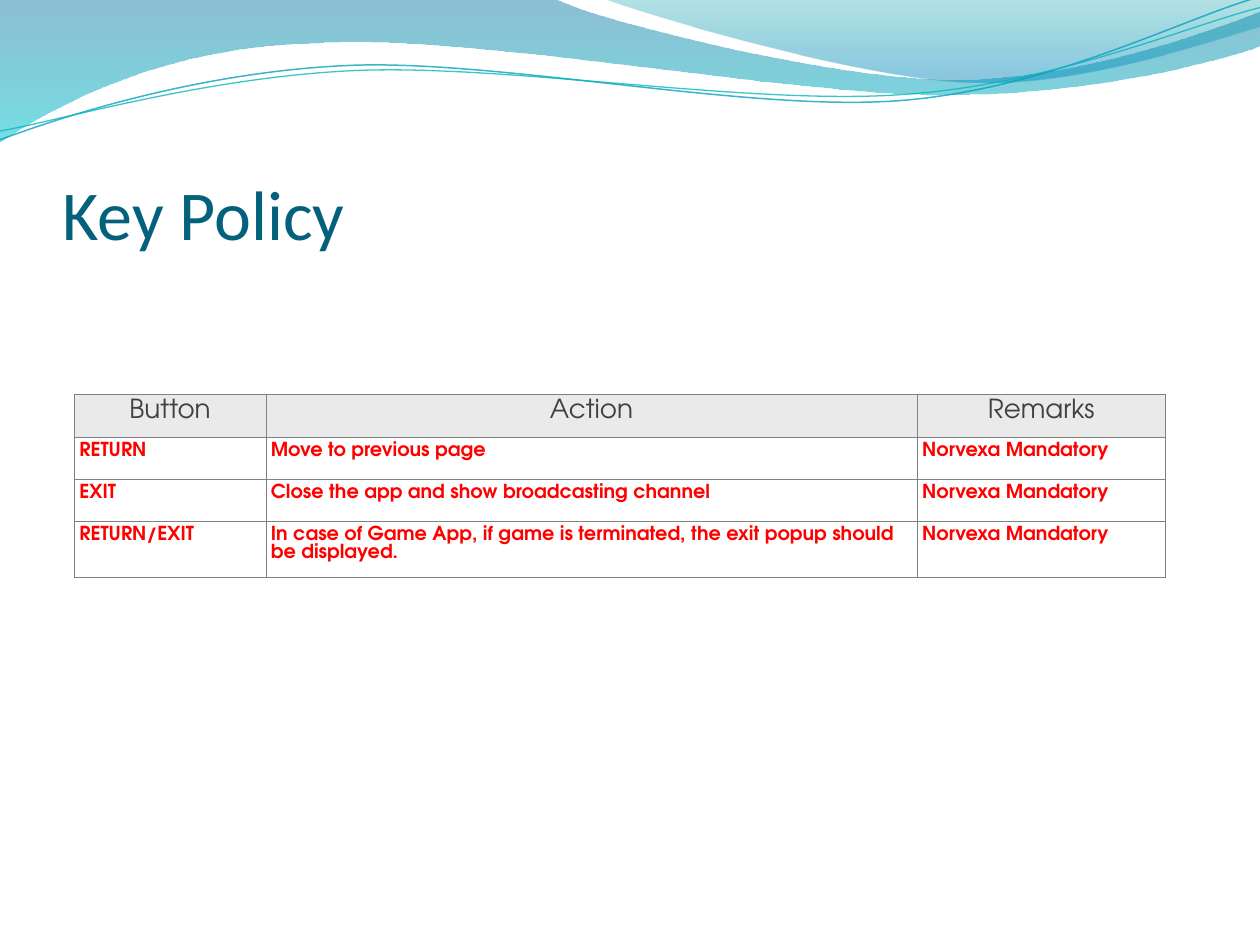
from lxml import etree
from pptx import Presentation
from pptx.dml.color import RGBColor
from pptx.enum.text import MSO_ANCHOR, PP_ALIGN
from pptx.oxml.ns import qn
from pptx.util import Inches, Pt

LEFT, CENTER = PP_ALIGN.LEFT, PP_ALIGN.CENTER
BOTTOM = MSO_ANCHOR.BOTTOM

# Content
TITLE = "Key Policy"
HEAD = ["Button", "Action", "Remarks"]
RULE = "Norvexa Mandatory"
ROWS = [
    ["RETURN", "Move to previous page", RULE],
    ["EXIT", "Close the app and show broadcasting channel", RULE],
    ["RETURN/EXIT", "In case of Game App, if game is terminated, "
     "the exit popup should be displayed.", RULE],
]
COLS = [1.52, 5.17, 1.97]
TOP_H, ROW_H = Inches(0.4), Pt(24.2)
FONT = "TeX Gyre Adventor"

# Waves: a start point, then points (2 numbers) or Bezier curves (6 numbers)
BANDS = [
    ([(0, 0), (4.4, -0.01), (4.76, 0.17, 6.64, 0.63, 7.58, 0.63),
      (8.53, 0.63, 9.58, 0.26, 10, 0.09), (10.01, 0.36),
      (9.83, 0.44, 8.7, 0.76, 7.46, 0.75), (6.22, 0.75, 3.82, 0.28, 2.57, 0.34),
      (1.29, 0.36, 0.46, 0.83, -0.01, 1.13), (0, 0)],
     [(0, "00739E", 45), (1, "00C5CE", 55)]),
    ([(4.79, -0.01), (5.09, 0.11, 6.82, 0.62, 7.69, 0.65),
      (8.56, 0.69, 9.61, 0.32, 10, 0.21), (10, 0), (4.79, -0.01)],
     [(0, "009FA6", 30), (0.8, "008ABE", 45)]),
]
LINES = [
    ([(0, 1.11), (0.48, 0.93, 1.58, 0.57, 2.77, 0.52),
      (3.95, 0.47, 5.93, 0.89, 7.13, 0.8), (8.33, 0.71, 9.38, 0.15, 9.98, -0.02)],
     "05A0BE", 0.85),
    ([(0, 1.04), (0.47, 0.96, 1.64, 0.61, 2.83, 0.56),
      (4.03, 0.51, 5.97, 0.84, 7.17, 0.75), (8.36, 0.67, 9.41, 0.21, 10, 0.06)],
     "08B6BA", 0.75),
]
LINE_ALPHA = 78


def rgb(code):
    return RGBColor.from_string(code)


def write(frame, text, size, color, font=FONT, bold=False, align=LEFT, before=0):
    par = frame.paragraphs[0]
    par.alignment, par.space_before = align, Pt(before)
    run = par.add_run()
    run.text = text
    run.font.name, run.font.size, run.font.bold = font, Pt(size), bold
    run.font.color.rgb = rgb(color)


def draw(slide, path, close):
    """Lay out all points as lines, then join each three of a curve."""
    pts = [(Inches(part[i]), Inches(part[i + 1]))
           for part in path for i in range(0, len(part), 2)]
    pen = slide.shapes.build_freeform(*pts[0])
    pen.add_line_segments(pts[1:], close=close)
    shape = pen.convert_to_shape()
    shape.shadow.inherit = False
    legs = iter(list(shape._element.spPr.iter(qn("a:lnTo"))))
    for part in path[1:]:
        leg = next(legs)
        if len(part) == 6:
            leg.addprevious(curve := etree.Element(qn("a:cubicBezTo")))
            for step in (leg, next(legs), next(legs)):
                curve.append(step[0])
                step.getparent().remove(step)
    return shape


def fade(shape, alphas):
    """Set the opacity, in percent, of each colour of a shape in turn."""
    tags = shape._element.spPr.iter(qn("a:srgbClr"))
    for tag, alpha in zip(list(tags), alphas):
        etree.SubElement(tag, qn("a:alpha")).set("val", str(alpha * 1000))


def edge(cell, sides, color="808080", width=0.25):
    props = cell._tc.get_or_add_tcPr()
    for side in sides:
        line = etree.SubElement(props, qn("a:ln" + side), w=str(Pt(width)))
        fill = etree.SubElement(line, qn("a:solidFill"))
        etree.SubElement(fill, qn("a:srgbClr"), val=color)


prs = Presentation()
prs.slide_width, prs.slide_height = Inches(10), Inches(7.5)
slide = prs.slides.add_slide(prs.slide_layouts[6])

# Wave bands and lines
for path, stops in BANDS:
    band = draw(slide, path, True)
    band.line.fill.background()
    band.fill.gradient()
    band.fill.gradient_angle = 270
    for stop, (pos, color, _) in zip(band.fill.gradient_stops, stops):
        stop.position = pos
        stop.color.rgb = rgb(color)
    fade(band, [alpha for _, _, alpha in stops])

for path, color, width in LINES:
    wave = draw(slide, path, False)
    wave.fill.background()
    wave.line.color.rgb = rgb(color)
    wave.line.width = Pt(width)
    fade(wave, [LINE_ALPHA])

# Title
box = slide.shapes.add_textbox(Inches(0.5), Inches(0.77), Inches(9), Inches(1.25))
frame = box.text_frame
frame.word_wrap = True
frame.vertical_anchor = BOTTOM
frame.margin_left = frame.margin_right = frame.margin_top = frame.margin_bottom = 0
write(frame, TITLE, 40, "04617B", font="Calibri")

# Key table, with an open row above the head
grid = [[""] * len(COLS), HEAD] + ROWS
table = slide.shapes.add_table(
    len(grid), len(COLS), Inches(0.59), Inches(2.73),
    Inches(sum(COLS)), TOP_H + ROW_H * (len(grid) - 1)).table
table.first_row = table.horz_banding = False
for col, width in zip(table.columns, COLS):
    col.width = Inches(width)
for r, row in enumerate(grid):
    table.rows[r].height = ROW_H if r else TOP_H
    for c, text in enumerate(row):
        cell = table.cell(r, c)
        if r == 0:
            edge(cell, "B")
            cell.fill.background()
            continue
        cell.margin_left = cell.margin_right = Inches(0.04)
        cell.margin_top = cell.margin_bottom = Inches(0.04)
        edge(cell, "LRTB")
        cell.fill.solid()
        cell.fill.fore_color.rgb = rgb("EAEAEA" if r == 1 else "FFFFFF")
        if r == 1:
            write(cell.text_frame, text, 15, "404040", align=CENTER, before=3)
        else:
            write(cell.text_frame, text, 11, "FF0000", bold=True, before=2)

prs.save("out.pptx")
